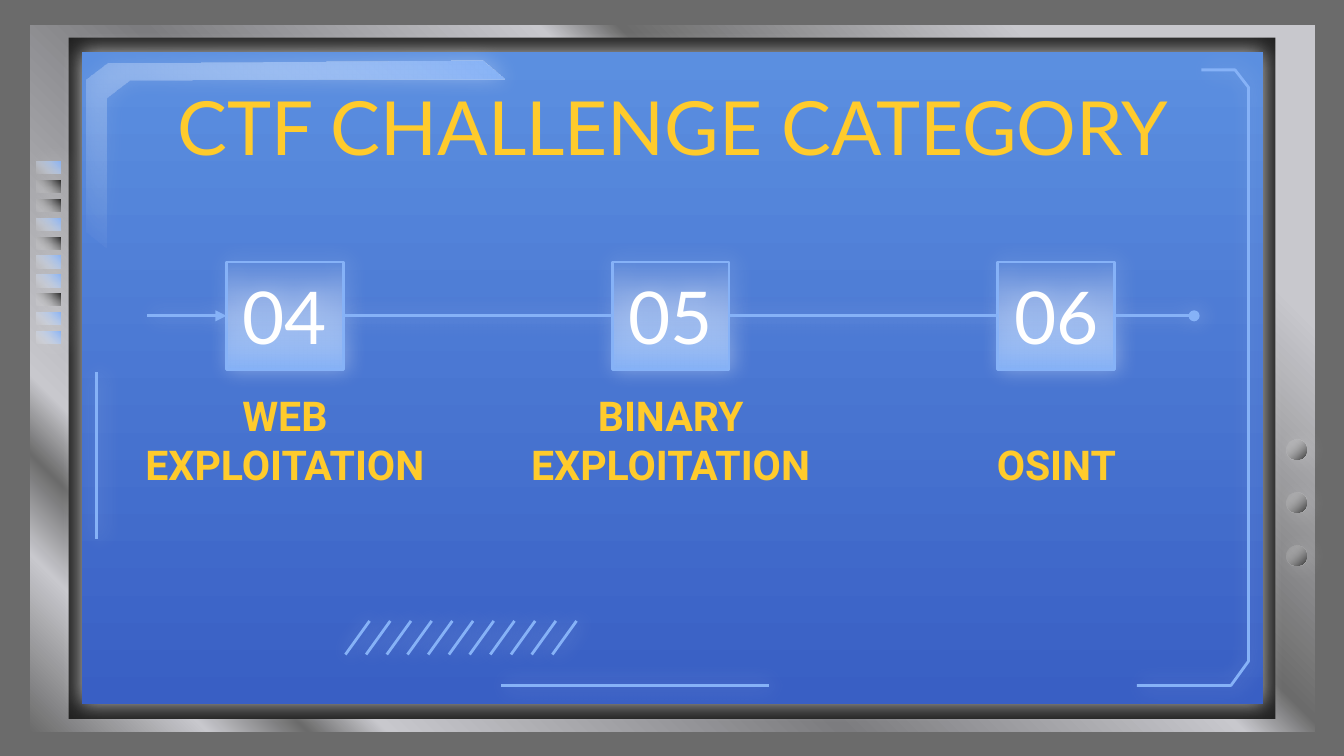
from dataclasses import dataclass

from lxml import etree
from pptx import Presentation
from pptx import util as u
from pptx.dml.color import RGBColor
from pptx.enum import shapes, text
from pptx.oxml import ns


@dataclass(frozen=True)
class Theme:
    wall: str = "6B6B6B"
    metal: str = "C8C8CD"
    steel: str = "7C7C7F"
    dark: str = "222222"
    glow: str = "86B2F7"
    white: str = "FFFFFF"
    accent: str = "FFCB2C"
    deep: str = "395FC4"
    sky: str = "5B8FE0"
    heading_font: str = "Lato"
    label_font: str = "Roboto"
    title_size: float = 40
    number_size: float = 39
    label_size: float = 22
    line_width: float = 1.5


THEME = Theme()
WIDTH, HEIGHT = 10, 5.625
COLUMN_START, COLUMN_STEP = 2.12, 2.87
TILE_WIDTH, TILE_HEIGHT, AXIS = 0.87, 0.8, 2.35
LABEL_WIDTH = 2.52
STEPS = [("04", "WEB EXPLOITATION"), ("05", "BINARY EXPLOITATION"), ("06", "OSINT")]
VENTS = "BDDBDBBDBB"


def column(index):
    return COLUMN_START + index * COLUMN_STEP


def inches(*values):
    return [u.Inches(value) for value in values]


def element(parent, tag, **attributes):
    return etree.SubElement(parent, ns.qn(tag), {k: str(v) for k, v in attributes.items()})


def color_element(parent, color, opacity=100):
    node = element(parent, "a:srgbClr", val=color)
    if opacity < 100:
        element(node, "a:alpha", val=opacity * 1000)


def fill_gradient(shape, stops, angle):
    shape.fill.gradient()
    gradient = shape.element.spPr.find(ns.qn("a:gradFill"))
    for child in list(gradient):
        gradient.remove(child)
    stop_list = element(gradient, "a:gsLst")
    for position, *color in stops:
        color_element(element(stop_list, "a:gs", pos=position * 1000), *color)
    element(gradient, "a:lin", ang=angle * 60000, scaled=0)


def fade(shape, color, angle):
    fill_gradient(shape, [(0, color), (100, THEME.white, 0)], angle)


def set_line(shape, color=THEME.glow, width=THEME.line_width):
    shape.line.color.rgb = RGBColor.from_string(color)
    shape.line.width = u.Pt(width)


def add_glow(shape, opacity=35, distance=1.5):
    effects = element(shape.element.spPr, "a:effectLst")
    shadow = element(effects, "a:outerShdw", blurRad=u.Pt(11.2), dist=u.Pt(distance),
                     dir=0, algn="bl", rotWithShape=0)
    color_element(shadow, THEME.white, opacity)


def add_panel(slide, box, kind=shapes.MSO_SHAPE.RECTANGLE):
    shape = slide.shapes.add_shape(kind, *inches(*box))
    shape.line.fill.background()
    return shape


def add_path(container, points, closed=False):
    points = [tuple(inches(*point)) for point in points]
    builder = container.shapes.build_freeform(*points[0], scale=1.0)
    builder.add_line_segments(points[1:], close=closed)
    shape = builder.convert_to_shape()
    if closed:
        shape.line.fill.background()
    else:
        shape.fill.background()
        set_line(shape)
    return shape


def add_line(slide, start, end, tail=None):
    line = slide.shapes.add_connector(
        shapes.MSO_CONNECTOR.STRAIGHT, *inches(*start, *end))
    set_line(line)
    if tail:
        element(line.element.spPr.find(ns.qn("a:ln")), "a:tailEnd", type=tail)
    add_glow(line)


def write(shape, content, font_name, size, color, anchor, bold=False):
    frame = shape.text_frame
    frame.text = content
    frame.word_wrap = True
    frame.auto_size = text.MSO_AUTO_SIZE.NONE
    frame.vertical_anchor = anchor
    frame.margin_left = frame.margin_right = u.Inches(0.1)
    frame.margin_top = frame.margin_bottom = u.Inches(0.1)
    paragraph = frame.paragraphs[0]
    paragraph.alignment = text.PP_ALIGN.CENTER
    paragraph.font.name = font_name
    paragraph.font.size = u.Pt(size)
    paragraph.font.bold = bold
    paragraph.font.color.rgb = RGBColor.from_string(color)


def add_monitor(slide):
    frame = add_panel(slide, (0.22, 0.18, 9.57, 5.27))
    fill_gradient(frame, [
        (0, THEME.wall), (9, THEME.metal), (14, THEME.wall), (18, THEME.metal),
        (41, THEME.steel), (61, THEME.metal), (65, THEME.wall), (85, THEME.metal),
        (100, THEME.metal)], 315)
    set_line(frame, THEME.wall, 0.75)
    frame.shadow.inherit = False
    bezel = add_panel(slide, (0.51, 0.28, 8.98, 5.07))
    bezel.fill.solid()
    bezel.fill.fore_color.rgb = RGBColor.from_string(THEME.dark)
    bezel.shadow.inherit = False
    screen = add_panel(slide, (0.61, 0.39, 8.79, 4.85))
    fill_gradient(screen, [(0, THEME.deep), (100, THEME.sky)], 270)
    add_glow(screen, 72, 0)


def add_controls(slide):
    for row in range(3):
        button = add_panel(slide, (9.57, 3.27 + row * 0.395, 0.15, 0.15),
                           shapes.MSO_SHAPE.OVAL)
        fade(button, THEME.dark, 225)
        add_glow(button)
    for row, kind in enumerate(VENTS):
        vent = add_panel(slide, (0.27, 1.2 + row * 0.141, 0.18, 0.09))
        fade(vent, THEME.glow if kind == "B" else THEME.dark, 135)
        add_glow(vent)


def add_screen_trim(slide):
    corner = add_path(slide, [(3.58, 0.45), (0.8, 0.47), (0.64, 0.59), (0.64, 1.72),
                              (0.79, 1.84), (0.79, 0.73), (0.96, 0.6), (3.75, 0.59)], True)
    fade(corner, THEME.glow, 135)
    add_glow(corner)
    add_glow(add_path(slide, [(8.94, 0.52), (9.19, 0.52), (9.29, 0.65),
                              (9.29, 4.92), (9.16, 5.1), (8.46, 5.1)]))
    add_line(slide, (0.72, 4.01), (0.72, 2.77))
    add_line(slide, (3.73, 5.1), (5.72, 5.1))


def add_hatching(slide):
    group = slide.shapes.add_group_shape()
    for index in range(11):
        left = 2.57 + index * 0.154
        add_glow(add_path(group, [(left + 0.18, 4.62), (left, 4.87)]))


def add_title(slide):
    title = slide.shapes.title
    title.left, title.top, title.width, title.height = inches(0.79, 0.5, 8.43, 0.63)
    write(title, "CTF CHALLENGE CATEGORY", THEME.heading_font, THEME.title_size,
          THEME.accent, text.MSO_ANCHOR.TOP)
    title.element.getparent().append(title.element)


def add_step(slide, index, number, label):
    center = column(index)
    tile = add_panel(slide, (center - TILE_WIDTH / 2, AXIS - TILE_HEIGHT / 2,
                             TILE_WIDTH, TILE_HEIGHT))
    fade(tile, THEME.glow, 270)
    set_line(tile)
    add_glow(tile)
    write(tile, number, THEME.heading_font, THEME.number_size, THEME.white,
          text.MSO_ANCHOR.MIDDLE)
    caption = slide.shapes.add_textbox(
        *inches(center - LABEL_WIDTH / 2, 3.14, LABEL_WIDTH, 0.6))
    write(caption, label, THEME.label_font, THEME.label_size, THEME.accent,
          text.MSO_ANCHOR.BOTTOM, True)


def add_timeline(slide):
    for index, (number, label) in enumerate(STEPS):
        add_step(slide, index, number, label)
    half, last = TILE_WIDTH / 2, len(STEPS) - 1
    for index in range(last):
        add_line(slide, (column(index) + half, AXIS), (column(index + 1) - half, AXIS))
    first_edge, last_edge = column(0) - half, column(last) + half
    add_line(slide, (first_edge - 0.59, AXIS), (first_edge, AXIS), "triangle")
    add_line(slide, (last_edge, AXIS), (last_edge + 0.59, AXIS), "oval")


def main():
    presentation = Presentation()
    presentation.slide_width, presentation.slide_height = inches(WIDTH, HEIGHT)
    slide = presentation.slides.add_slide(presentation.slide_layouts[5])
    slide.background.fill.solid()
    slide.background.fill.fore_color.rgb = RGBColor.from_string(THEME.wall)
    for draw in (add_monitor, add_controls, add_screen_trim, add_title,
                 add_timeline, add_hatching):
        draw(slide)
    presentation.save("out.pptx")


if __name__ == "__main__":
    main()
